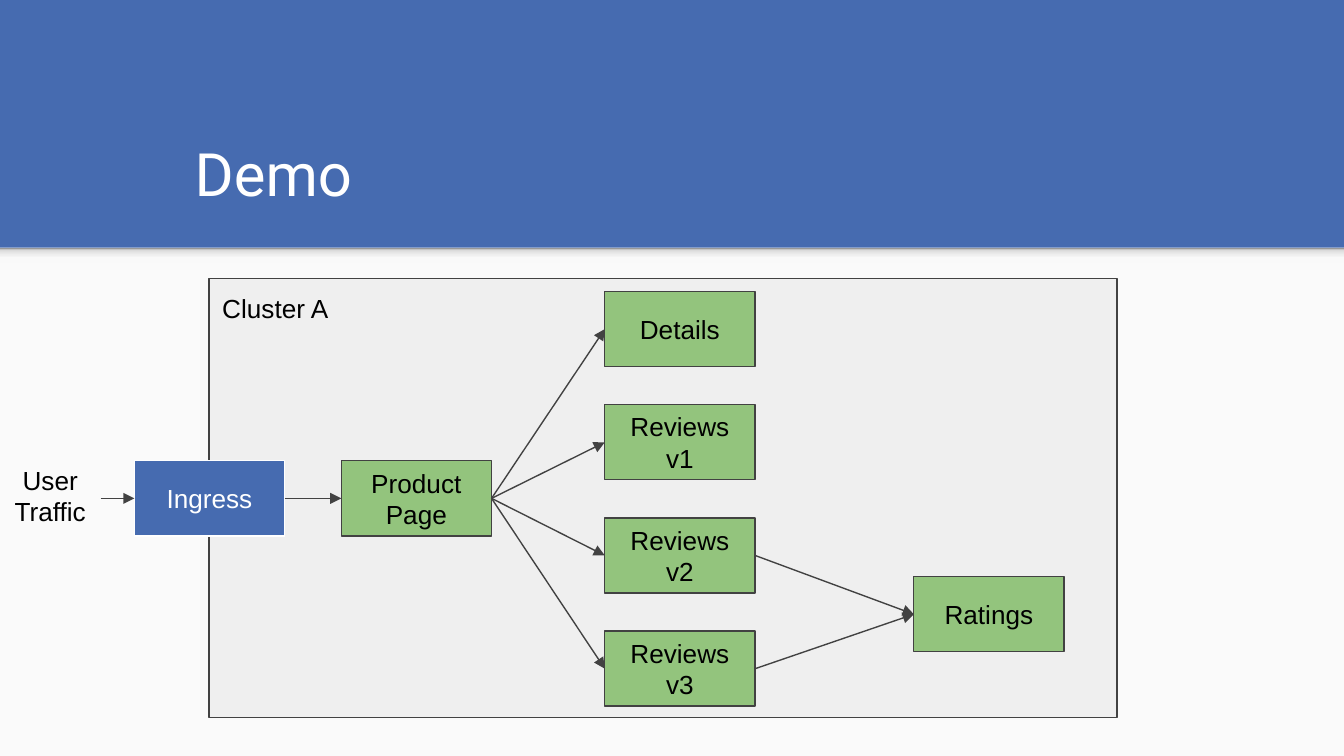
from copy import deepcopy
from dataclasses import dataclass

from lxml import etree
from pptx import Presentation
from pptx.dml.color import RGBColor
from pptx.enum.shapes import MSO_CONNECTOR as Link, MSO_SHAPE as Shape
from pptx.enum.text import MSO_ANCHOR as Anchor, PP_ALIGN as Align
from pptx.oxml.ns import qn
from pptx.util import Cm, Pt


@dataclass
class Theme:
    blue: str = "466BB0"
    paper: str = "FAFAFA"
    panel: str = "EFEFEF"
    green: str = "93C47D"
    dark: str = "424242"
    white: str = "FFFFFF"
    black: str = "000000"
    shadow: tuple = ((0, "F9F9F9"), (0.36, "F9F9F9"), (0.8, "DEDEDE"), (1, "999999"))
    title_font: str = "Roboto"
    body_font: str = "Arial"
    title_size: int = 32
    body_size: int = 14
    line: float = 0.75


theme = Theme()
rgb = RGBColor.from_string


def add_box(left, top, width, height, fill=None, line=None):
    box = page.shapes.add_shape(Shape.RECTANGLE, Cm(left), Cm(top), Cm(width), Cm(height))
    box.shadow.inherit = False
    if fill:
        box.fill.solid()
        box.fill.fore_color.rgb = rgb(fill)
    else:
        box.fill.background()
    if line:
        box.line.color.rgb = rgb(line)
        box.line.width = Pt(theme.line)
    else:
        box.line.fill.background()
    return box


def write(box, text, color=theme.black, size=theme.body_size, font=theme.body_font,
          align=Align.CENTER, anchor=Anchor.MIDDLE, indent=0.25):
    frame = box.text_frame
    frame.word_wrap = True
    frame.vertical_anchor = anchor
    frame.margin_left = Cm(indent)
    frame.margin_right = frame.margin_top = frame.margin_bottom = Cm(0.25)
    para = frame.paragraphs[0]
    para.alignment = align
    span = para.add_run()
    span.text = text
    span.font.name = font
    span.font.size = Pt(size)
    span.font.color.rgb = rgb(color)


deck = Presentation()
deck.slide_width, deck.slide_height = Cm(25.4), Cm(14.29)
page = deck.slides.add_slide(deck.slide_layouts[5])
page.background.fill.solid()
page.background.fill.fore_color.rgb = rgb(theme.blue)

# Pale lower area with a soft shadow under the header
add_box(0, 4.68, 25.4, 9.61, theme.paper)
shade = add_box(0, 4.68, 25.4, 0.3)
shade.fill.gradient()
shade.fill.gradient_angle = 90
stop_list = shade._element.spPr.find(qn("a:gradFill")).find(qn("a:gsLst"))
while len(stop_list) < len(theme.shadow):
    stop_list.append(deepcopy(stop_list[0]))
for stop, (position, color) in zip(shade.fill.gradient_stops, theme.shadow):
    stop.position = position
    stop.color.rgb = rgb(color)

# Title, brought in front of the background
title = page.shapes.title
title.left, title.top, title.width, title.height = Cm(1.32), Cm(2.06), Cm(22.83), Cm(2.13)
write(title, "Demo", theme.white, theme.title_size, theme.title_font,
      Align.LEFT, Anchor.BOTTOM, indent=2.36)
page.shapes._spTree.append(title._element)

# Cluster panel
cluster = add_box(3.95, 5.27, 17.16, 8.3, theme.panel, theme.dark)
write(cluster, "Cluster A", align=Align.LEFT, anchor=Anchor.TOP)

# Services
node_width, node_height = 2.84, 1.42
flow_top = 8.71
column_left, column_top, column_step = 11.43, 5.51, 2.14
places = {"Ingress": (2.54, flow_top), "Product Page": (6.45, flow_top)}
branches = ["Details", "Reviews v1", "Reviews v2", "Reviews v3"]
for row, name in enumerate(branches):
    places[name] = (column_left, column_top + row * column_step)
places["Ratings"] = (17.27, 10.9)

nodes = {}
for name, (left, top) in places.items():
    entry = name == "Ingress"
    nodes[name] = add_box(left, top, node_width, node_height,
                          theme.blue if entry else theme.green,
                          theme.white if entry else theme.dark)
    write(nodes[name], name, theme.white if entry else theme.black)

# Traffic source
nodes["User Traffic"] = page.shapes.add_textbox(Cm(0), Cm(8.53), Cm(1.9), Cm(1.78))
write(nodes["User Traffic"], "User Traffic", anchor=Anchor.TOP)

# Arrows, each from a right side to a left side
links = [("User Traffic", "Ingress"), ("Ingress", "Product Page")]
links += [("Product Page", name) for name in branches]
links += [(name, "Ratings") for name in branches[2:]]
for source, target in links:
    arrow = page.shapes.add_connector(Link.STRAIGHT, 0, 0, 0, 0)
    arrow.begin_connect(nodes[source], 3)
    arrow.end_connect(nodes[target], 1)
    arrow.line.color.rgb = rgb(theme.dark)
    arrow.line.width = Pt(theme.line)
    etree.SubElement(arrow.line._get_or_add_ln(), qn("a:tailEnd"), type="triangle")
    etree.SubElement(arrow._element.spPr, qn("a:effectLst"))

deck.save("out.pptx")
